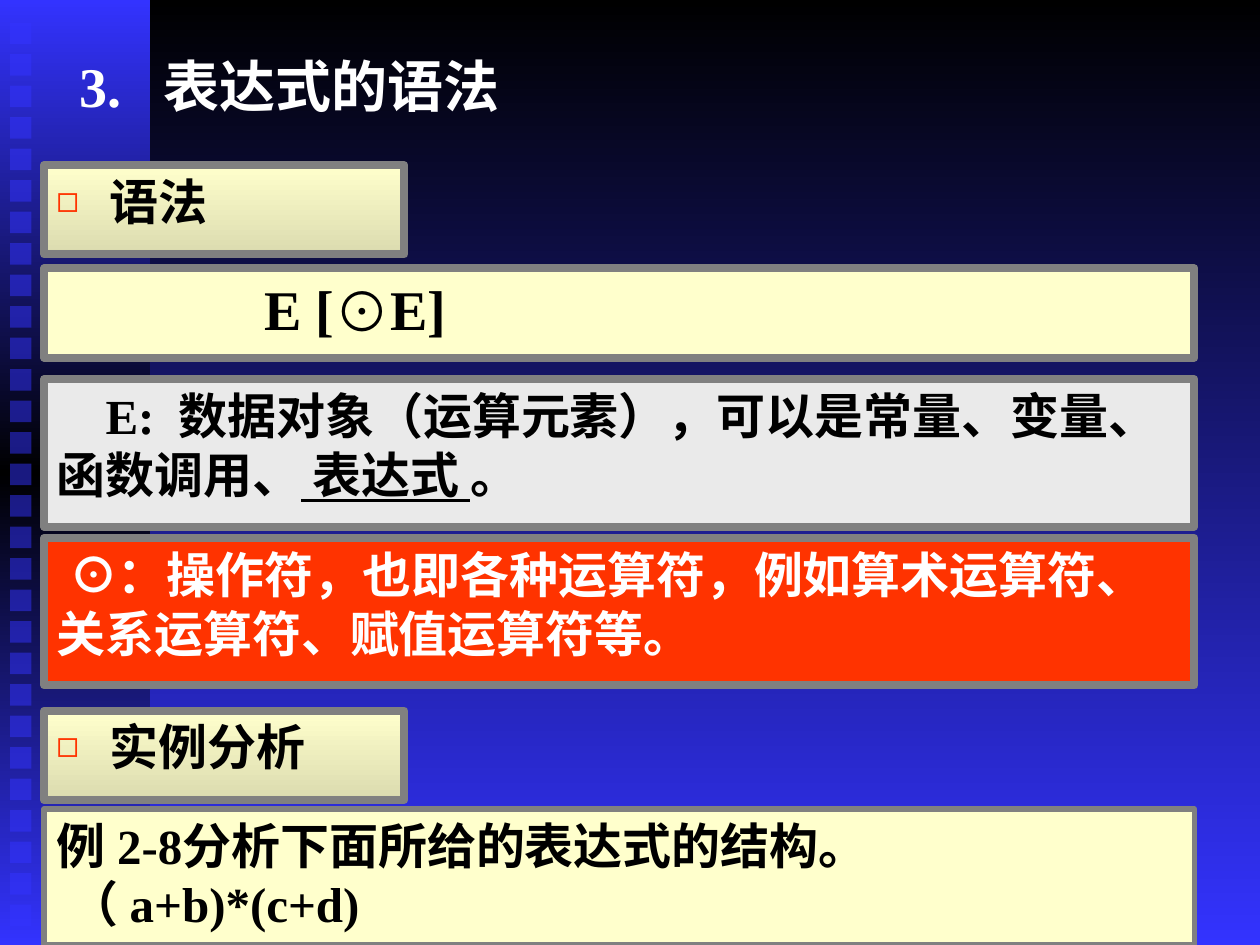
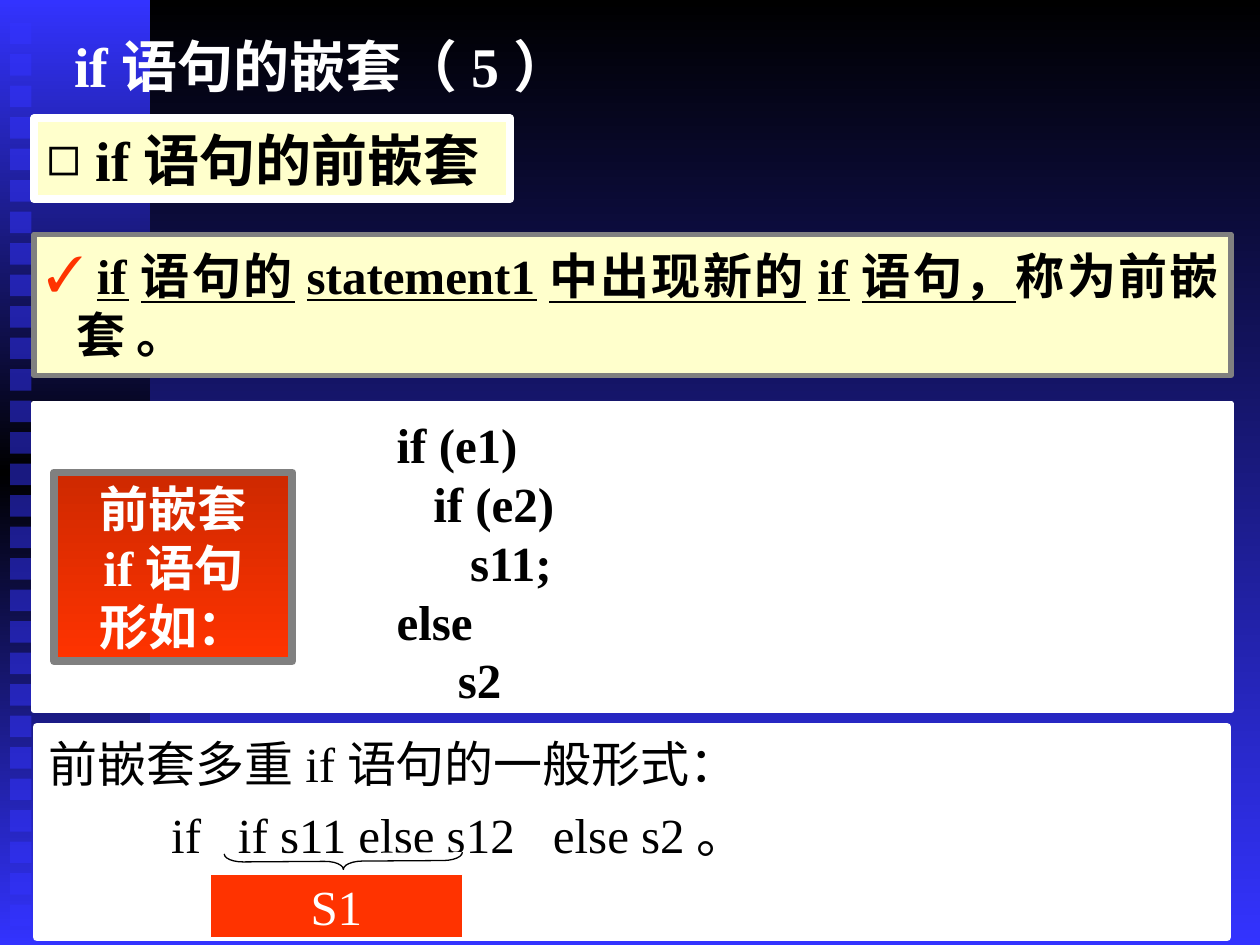
import copy
import dataclasses

import pptx
import pptx.util
import pptx.dml.color
import pptx.enum.shapes
import pptx.enum.text
import pptx.oxml.ns
import lxml.etree

SHAPES = pptx.enum.shapes.MSO_SHAPE
ALIGN = pptx.enum.text.PP_ALIGN
ANCHOR = pptx.enum.text.MSO_ANCHOR
qn = pptx.oxml.ns.qn


@dataclasses.dataclass(frozen=True)
class Theme:
    """Colours, font and type sizes shared by the slides."""
    font: str = "Times New Roman"
    title: int = 32
    body: int = 28
    black: str = "000000"
    white: str = "FFFFFF"
    blue: str = "3333FF"
    cream: str = "FFFFCC"
    sand: str = "DBDBAF"
    silver: str = "EAEAEA"
    grey: str = "808080"
    red: str = "FF3300"
    rust: str = "CE2900"


THEME = Theme()
WIDTH, HEIGHT = pptx.util.Inches(10), pptx.util.Inches(7.5)
COLUMNS, ROWS = 100, 75
CELL = WIDTH // COLUMNS


def cells(count):
    """Turn a number of grid cells into a length."""
    return pptx.util.Emu(round(count * CELL))


def colour(value):
    """Turn a hex string into a colour."""
    return pptx.dml.color.RGBColor.from_string(value)


def within(box, left, top, width, height):
    """Give the box that lies at an offset inside another box."""
    return box[0] + left, box[1] + top, width, height


def paint(fill, element, colours):
    """Fill with one colour, or with a downward gradient of several."""
    if isinstance(colours, str):
        fill.solid()
        fill.fore_color.rgb = colour(colours)
        return
    fill.gradient()
    fill.gradient_angle = 270
    stops = next(element.iter(qn("a:gsLst")))
    for _ in colours[2:]:
        stops.append(copy.deepcopy(stops[0]))
    for index, (stop, value) in enumerate(zip(fill.gradient_stops, colours)):
        stop.color.rgb = colour(value)
        stop.position = index / (len(colours) - 1)


def add_panel(slide, box, fill, line=None, weight=4.5, kind=SHAPES.RECTANGLE):
    """Draw a flat panel on a grid box."""
    panel = slide.shapes.add_shape(kind, *map(cells, box))
    panel.shadow.inherit = False
    paint(panel.fill, panel.element, fill)
    if line:
        panel.line.color.rgb = colour(line)
        panel.line.width = pptx.util.Pt(weight)
    else:
        panel.line.fill.background()
    return panel


def set_layout(paragraph, margin=0, indent=0, mark=None, tabs=()):
    """Set indents, bullet and tab stops, all in grid cells."""
    props = paragraph._p.get_or_add_pPr()
    props.set("marL", str(cells(margin)))
    props.set("indent", str(cells(indent)))

    def add(parent, tag, **values):
        child = lxml.etree.SubElement(parent, qn(tag))
        for key, value in values.items():
            child.set(key, str(value))
        return child

    if mark:
        symbol, tint, percent = mark
        add(add(props, "a:buClr"), "a:srgbClr", val=tint)
        add(props, "a:buSzPct", val=percent * 1000)
        add(props, "a:buFont", typeface=THEME.font)
        add(props, "a:buChar", char=symbol)
    else:
        add(props, "a:buNone")
    if tabs:
        stops = add(props, "a:tabLst")
        for stop in tabs:
            add(stops, "a:tab", pos=cells(stop), algn="l")


def write(shape, lines, size=THEME.body, tint=THEME.black, bold=True, align=ALIGN.LEFT,
          anchor=ANCHOR.TOP, gap=0, top=0.5, layouts=({},)):
    """Write paragraphs of (words, underlined) runs; the last layout repeats."""
    frame = shape.text_frame
    settings = dict(word_wrap=True, vertical_anchor=anchor, margin_left=cells(1),
                    margin_right=cells(1), margin_top=cells(top), margin_bottom=cells(0.5))
    for name, value in settings.items():
        setattr(frame, name, value)
    for index, line in enumerate(lines):
        paragraph = frame.add_paragraph() if index else frame.paragraphs[0]
        paragraph.alignment = align
        set_layout(paragraph, **layouts[min(index, len(layouts) - 1)])
        if index and gap:
            paragraph.space_before = pptx.util.Pt(gap)
        for words, underline in [(line, False)] if isinstance(line, str) else line:
            run = paragraph.add_run()
            run.text = words
            style = dict(name=THEME.font, size=pptx.util.Pt(size), bold=bold, underline=underline)
            for name, value in style.items():
                setattr(run.font, name, value)
            run.font.color.rgb = colour(tint)


def add_backdrop(slide):
    """Paint the night gradient, the side stripe and its column of squares."""
    paint(slide.background.fill, slide.element, (THEME.black, THEME.blue))
    add_panel(slide, (0, 0, 11.9, ROWS), (THEME.blue, THEME.black, THEME.blue))
    for step in range(29):
        square = add_panel(slide, (0.8, 1.8 + 2.5 * step, 1.7, 1.7), THEME.blue)
        tint = next(square.element.spPr.iter(qn("a:srgbClr")))
        lxml.etree.SubElement(tint, qn("a:alpha")).set("val", "50000")


def add_title(slide, box, words, anchor=ANCHOR.TOP, **layout):
    """Write the slide title."""
    title = slide.shapes.add_textbox(*map(cells, box))
    write(title, [words], THEME.title, THEME.white, anchor=anchor, layouts=[layout])


def add_heading(slide, box, words):
    """Draw a bulleted section heading."""
    heading = add_panel(slide, box, (THEME.cream, THEME.sand), THEME.grey)
    write(heading, [words], align=ALIGN.JUSTIFY,
          layouts=[dict(margin=4.2, indent=-4.2, mark=("◻", THEME.red, 75))])


def add_grammar(slide, box):
    """Show the grammar rule with its operand and operator notes."""
    width = box[2]
    rule = add_panel(slide, within(box, 0, 8.2, width, 7.1), THEME.cream, THEME.grey)
    operand = add_panel(slide, within(box, 0, 17, width, 11.7), THEME.silver, THEME.grey)
    operator = add_panel(slide, within(box, 0, 29.6, width, 11.7), THEME.red, THEME.grey)
    add_heading(slide, within(box, 0, 0, 28.6, 7.1), "语法")
    write(rule, ["E [⊙E]"], THEME.title, layouts=[dict(indent=16.5)])
    write(operand, [[("E: 数据对象（运算元素），可以是常量、变量、函数调用、", False),
                     (" 表达式 ", True), ("。", False)]], layouts=[dict(indent=3.9)])
    write(operator, ["⊙：操作符，也即各种运算符，例如算术运算符、关系运算符、赋值运算符等。"],
          tint=THEME.white, layouts=[dict(indent=1)])


def add_example(slide, box):
    """Show the worked example under its heading."""
    add_heading(slide, within(box, 0, 0, 28.6, 7.1), "实例分析")
    example = add_panel(slide, within(box, 0, 7.8, box[2], 10.8), THEME.cream, THEME.grey, 3)
    write(example, ["例2-8\t分析下面所给的表达式的结构。", "（a+b)*(c+d)"], align=ALIGN.JUSTIFY,
          layouts=[dict(tabs=[12.9]), dict(indent=1)])


def add_general_form(slide, box):
    """Show the general form with a brace that marks the inner statement."""
    form = add_panel(slide, box, THEME.white, THEME.white)
    write(form, ["前嵌套多重if语句的一般形式：", "if\tif s11 else s12\telse s2。"], bold=False, gap=7,
          layouts=[{}, dict(indent=9.7, tabs=[14, 37.9])])
    brace = add_panel(slide, within(box, 23.7, 1.2, 1.3, 18.9), THEME.white, THEME.black, 0.75,
                      SHAPES.LEFT_BRACE)
    brace.rotation = 269.6
    brace.adjustments[0] = 1.15
    inner = add_panel(slide, within(box, 13.8, 11.7, 20, 5), THEME.red, THEME.white, 0.75)
    write(inner, ["S1"], tint=THEME.white, bold=False, align=ALIGN.CENTER, anchor=ANCHOR.MIDDLE)


def add_definition(slide, box):
    """Name the nesting kind and define it."""
    name = add_panel(slide, within(box, 0, 0, 37.8, 6.4), THEME.cream, THEME.white)
    write(name, ["if语句的前嵌套"], THEME.title, anchor=ANCHOR.MIDDLE,
          layouts=[dict(margin=3.9, indent=-3.9, mark=("◻", THEME.black, 100))])
    meaning = add_panel(slide, within(box, 0, 9.2, box[2], 11.2), THEME.cream, THEME.grey, 3)
    write(meaning, [[("\t", False), ("if语句的statement1中出现新的if语句，", True),
                     ("称为前嵌套 。", False)]], align=ALIGN.JUSTIFY, top=0.9,
          layouts=[dict(margin=2.4, indent=-2.4, mark=("✓", THEME.red, 100), tabs=[4])])


def add_code(slide, box):
    """Show the nested code beside its label."""
    code = add_panel(slide, box, THEME.white, THEME.white, 3)
    write(code, ["if (e1)", "   if (e2)", "      s11;", "else", "     s2"],
          align=ALIGN.JUSTIFY, top=0.9, layouts=[dict(margin=27.8)])
    label = add_panel(slide, within(box, 1.6, 5.5, 18.9, 15), (THEME.rust, THEME.red), THEME.grey)
    write(label, ["前嵌套", "if语句", "形如："], tint=THEME.white, align=ALIGN.CENTER,
          anchor=ANCHOR.MIDDLE)


def build_expression_slide(slide):
    """Lay out the slide on expression grammar."""
    add_backdrop(slide)
    add_title(slide, (2, 3.6, 81.7, 6.7), "3.\t表达式的语法", indent=3.3, tabs=[10])
    add_grammar(slide, (3.5, 13.1, 91.3, 41.3))
    add_example(slide, (3.5, 56.4, 91.3, 18.6))


def build_nesting_slide(slide):
    """Lay out the slide on nested if statements."""
    add_backdrop(slide)
    add_general_form(slide, (2.9, 57.7, 94.5, 16.7))
    add_title(slide, (2.7, 1, 85, 8.3), "if语句的嵌套（5）", ANCHOR.MIDDLE, indent=2.2)
    add_definition(slide, (2.7, 9.4, 95, 20.4))
    add_code(slide, (2.7, 32, 95, 24.4))


def main():
    """Build and save the presentation."""
    deck = pptx.Presentation()
    deck.slide_width, deck.slide_height = WIDTH, HEIGHT
    for build in (build_expression_slide, build_nesting_slide):
        build(deck.slides.add_slide(deck.slide_layouts[6]))
    deck.save("out.pptx")


if __name__ == "__main__":
    main()
